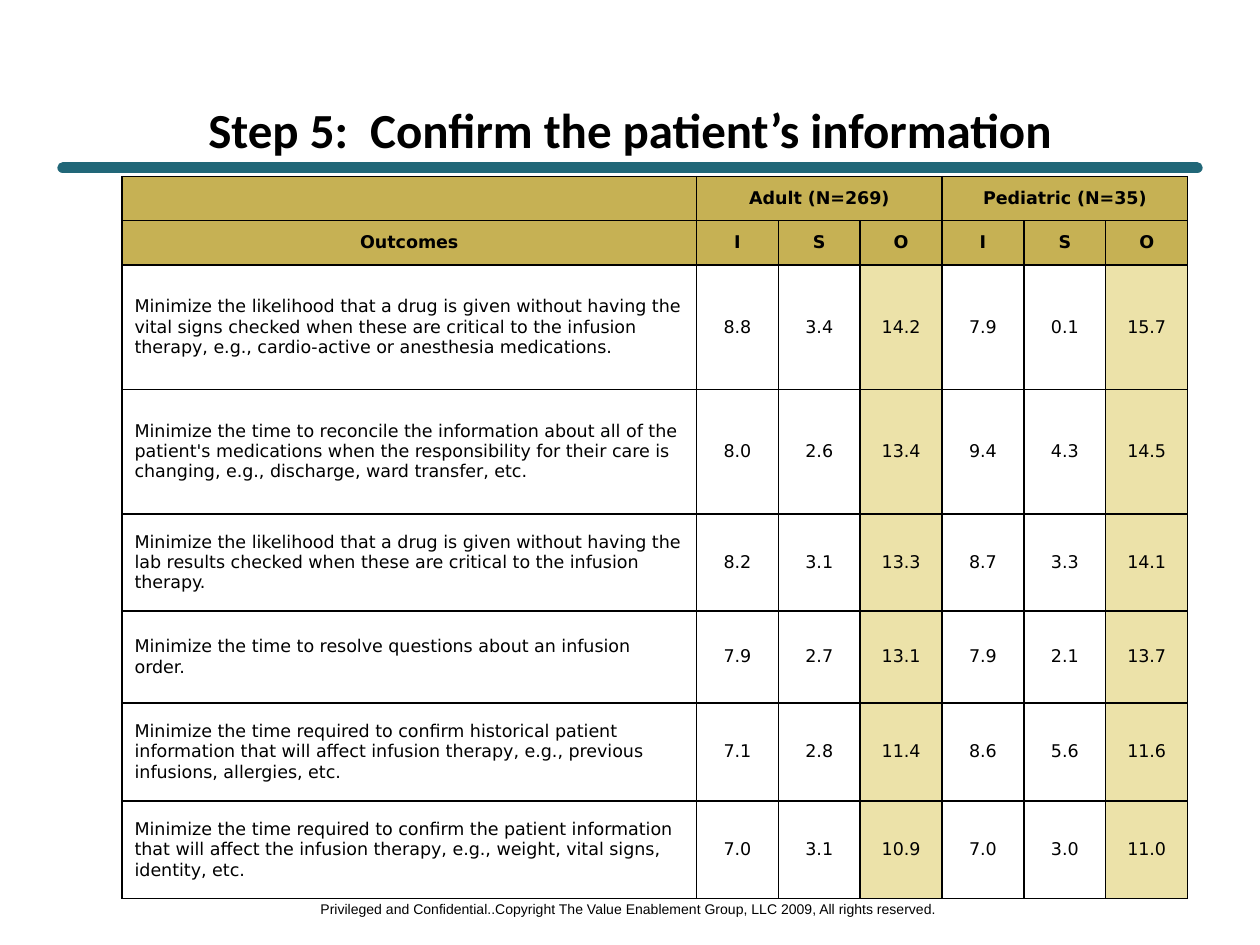
import pptx
import pptx.dml.color
import pptx.enum.shapes
import pptx.enum.text
import pptx.oxml
import pptx.oxml.ns
import pptx.util

HUES = {"ink": "000000", "rule": "216778", "head": "C6B154",
        "score": "ECE2A9", "plain": "FFFFFF"}
ROWS = [
    ("Minimize the likelihood that a drug is given without having the vital signs checked "
     "when these are critical to the infusion therapy, e.g., cardio-active or anesthesia "
     "medications.", "8.8 3.4 14.2 7.9 0.1 15.7"),
    ("Minimize the time to reconcile the information about all of the patient's medications "
     "when the responsibility for their care is changing, e.g., discharge, ward transfer, "
     "etc.", "8.0 2.6 13.4 9.4 4.3 14.5"),
    ("Minimize the likelihood that a drug is given without having the lab results checked "
     "when these are critical to the infusion therapy.", "8.2 3.1 13.3 8.7 3.3 14.1"),
    ("Minimize the time to resolve questions about an infusion order.",
     "7.9 2.7 13.1 7.9 2.1 13.7"),
    ("Minimize the time required to confirm historical patient information that will affect "
     "infusion therapy, e.g., previous infusions, allergies, etc.",
     "7.1 2.8 11.4 8.6 5.6 11.6"),
    ("Minimize the time required to confirm the patient information that will affect the "
     "infusion therapy, e.g., weight, vital signs, identity, etc.",
     "7.0 3.1 10.9 7.0 3.0 11.0"),
]
GRID = [["", "Adult (N=269)", "", "", "Pediatric (N=35)", "", ""],
        ["Outcomes", *"ISOISO"]]
GRID += [[goal, *marks.split()] for goal, marks in ROWS]
WIDTHS = [11.58] + [1.65] * 6
HEIGHTS = [0.89, 0.89, 2.51, 2.51, 1.96, 1.85, 1.98, 1.96]

Cm = pptx.util.Cm
ALIGN = pptx.enum.text.PP_ALIGN
MIDDLE = pptx.enum.text.MSO_ANCHOR.MIDDLE
SPACE = pptx.oxml.ns.nsdecls("a")


class Deck:
    """Hold the style and the current slide, and draw each kind of element."""

    def __init__(self):
        self.show = pptx.Presentation()
        self.show.slide_width, self.show.slide_height = Cm(25.4), Cm(19.05)
        self.slide = self.show.slides.add_slide(self.show.slide_layouts[6])

    def hue(self, name):
        return pptx.dml.color.RGBColor.from_string(HUES[name])

    def run(self, frame, words, face, size, bold=False, align=ALIGN.CENTER):
        para = frame.paragraphs[0]
        para.alignment = align
        run = para.add_run()
        run.text = words
        run.font.name, run.font.size = face, pptx.util.Pt(size)
        run.font.bold = bold
        run.font.color.rgb = self.hue("ink")

    def text(self, box, words, face, size, bold=False, wrap=True):
        frame = self.slide.shapes.add_textbox(*map(Cm, box)).text_frame
        frame.word_wrap = wrap
        frame.vertical_anchor = MIDDLE
        self.run(frame, words, face, size, bold)

    def rule(self, ends, width):
        kind = pptx.enum.shapes.MSO_CONNECTOR.STRAIGHT
        rule = self.slide.shapes.add_connector(kind, *map(Cm, ends))
        rule.line.color.rgb = self.hue("rule")
        rule.line.width = pptx.util.Pt(width)
        props = rule._element.spPr
        props.find(pptx.oxml.ns.qn("a:ln")).set("cap", "rnd")
        props.append(pptx.oxml.parse_xml(f"<a:effectLst {SPACE}/>"))

    def border(self, cell):
        props = cell._tc.get_or_add_tcPr()
        for at, side in enumerate(("lnL", "lnR", "lnT", "lnB")):
            props.insert(at, pptx.oxml.parse_xml(
                f'<a:{side} {SPACE} w="12700"><a:solidFill>'
                f'<a:srgbClr val="{HUES["ink"]}"/></a:solidFill></a:{side}>'))

    def table(self, left, top, grid, widths, heights, heads, spans):
        box = map(Cm, (left, top, sum(widths), sum(heights)))
        table = self.slide.shapes.add_table(len(heights), len(widths), *box).table
        for col, width in zip(table.columns, widths):
            col.width = Cm(width)
        for row, height in zip(table.rows, heights):
            row.height = Cm(height)
        for r, line in enumerate(grid):
            for c, words in enumerate(line):
                cell = table.cell(r, c)
                head = r < heads
                tone = "head" if head else "score" if c in (3, 6) else "plain"
                cell.fill.solid()
                cell.fill.fore_color.rgb = self.hue(tone)
                self.border(cell)
                cell.vertical_anchor = MIDDLE
                cell.margin_top = cell.margin_bottom = 0
                if words:
                    align = ALIGN.CENTER if head or c else ALIGN.LEFT
                    self.run(cell.text_frame, words, "DejaVu Sans", 10, head, align)
        for first, last in spans:
            table.cell(0, first).merge(table.cell(0, last))


def main():
    deck = Deck()
    deck.rule((1.27, 3.38, 24.13, 3.38), 6.5)
    deck.text((6.12, 18.01, 13.11, 0.61),
              "Privileged and Confidential..Copyright The Value Enablement Group, LLC 2009, "
              "All rights reserved.", "Arial", 8, wrap=False)
    deck.text((1.27, 2.11, 22.86, 0.97), "Step 5:  Confirm the patient’s information",
              "Calibri", 28, bold=True)
    deck.table(2.46, 3.56, GRID, WIDTHS, HEIGHTS, 2, [(1, 3), (4, 6)])
    deck.show.save("out.pptx")


if __name__ == "__main__":
    main()
